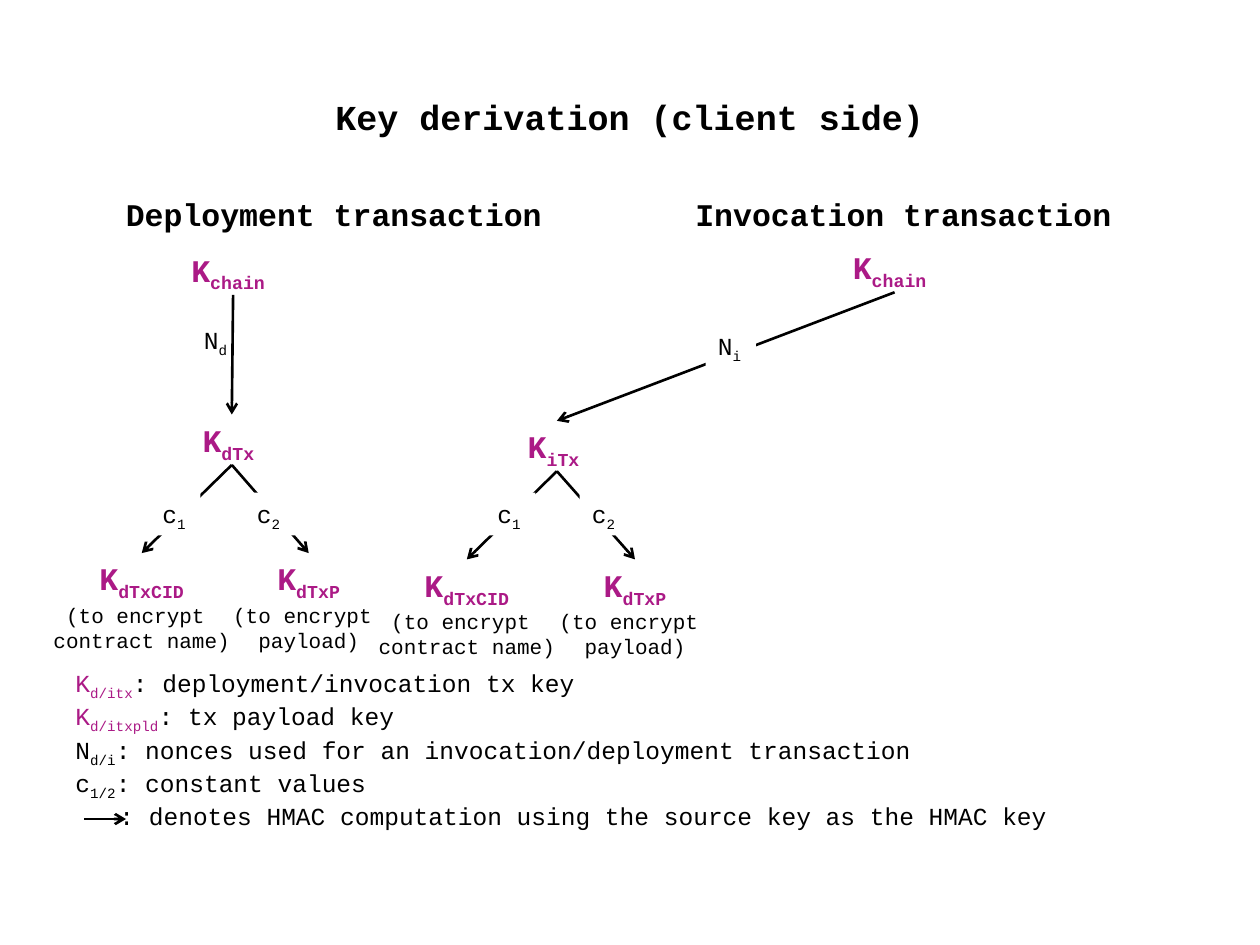
import pptx
import pptx.util
import pptx.dml.color
import pptx.enum.shapes
import pptx.enum.text
import pptx.oxml.ns
from lxml import etree

PX = 9144  # 100 px to the inch
FONT = "Courier New"
BLACK, PURPLE, WHITE = (pptx.dml.color.RGBColor.from_string(c)
                        for c in ("000000", "AB1A86", "FFFFFF"))
THEME = {
    "title": dict(size=20, bold=True, color=BLACK),
    "heading": dict(size=18, bold=True, color=BLACK),
    "key": dict(size=18, bold=True, color=PURPLE),
    "note": dict(size=12, bold=False, color=BLACK),
    "label": dict(size=14, bold=False, color=BLACK),
    "term": dict(size=14, bold=False, color=PURPLE),
}
ALIGN = pptx.enum.text.PP_ALIGN
ANCHOR = pptx.enum.text.MSO_ANCHOR
RECT = pptx.enum.shapes.MSO_SHAPE.RECTANGLE

prs = pptx.Presentation()
prs.slide_width, prs.slide_height = 1000 * PX, 750 * PX
s = prs.slides.add_slide(prs.slide_layouts[6])


def add_text(box, lines, align=ALIGN.LEFT, anchor=ANCHOR.TOP, wrap=False, fill=None):
    """Each line is a list of (style, text, subscript) runs."""
    box = [v * PX for v in box]
    if fill is None:
        sp = s.shapes.add_textbox(*box)
    else:
        sp = s.shapes.add_shape(RECT, *box)
        sp.shadow.inherit = False
        sp.fill.solid()
        sp.fill.fore_color.rgb = fill
        sp.line.fill.background()
    tf = sp.text_frame
    frame = dict(word_wrap=wrap, vertical_anchor=anchor)
    if anchor == ANCHOR.TOP:
        frame["auto_size"] = pptx.enum.text.MSO_AUTO_SIZE.SHAPE_TO_FIT_TEXT
    for name, value in frame.items():
        setattr(tf, name, value)
    for i, runs in enumerate(lines):
        p = tf.add_paragraph() if i else tf.paragraphs[0]
        p.alignment = align
        for style, text, sub in runs:
            look = THEME[style]
            r = p.add_run()
            r.text = text
            for name, value in dict(name=FONT, size=pptx.util.Pt(look["size"]),
                                    bold=look["bold"]).items():
                setattr(r.font, name, value)
            r.font.color.rgb = look["color"]
            if sub:
                r.font._element.set("baseline", "-25000")
    return sp


def add_arrow(x1, y1, x2, y2, source=None, target=None):
    c = s.shapes.add_connector(pptx.enum.shapes.MSO_CONNECTOR.STRAIGHT,
                               x1 * PX, y1 * PX, x2 * PX, y2 * PX)
    if source is not None:
        c.begin_connect(source, 2)
        c.end_connect(target, 0)
    c.line.color.rgb = BLACK
    c.line.width = pptx.util.Pt(1.5)
    etree.SubElement(c.line._get_or_add_ln(), pptx.oxml.ns.qn("a:tailEnd"), type="arrow")
    etree.SubElement(c._element.spPr, pptx.oxml.ns.qn("a:effectLst"))


# Title
add_text((50, 30, 900, 125), [[("title", "Key derivation (client side)", False)]],
         ALIGN.CENTER, ANCHOR.MIDDLE, wrap=True)

# Key trees: heading, chain key, transaction key, nonce, derived keys, constants
trees = [
    dict(heading="Deployment transaction", x=90, chain=(142, 194), tx=(151, 329),
         tx_sub="dTx", nonce=(152, 253), nonce_sub="d", nonce_fill=None,
         leaves=(31, 174), leaf_y=439, constants=(119, 194)),
    dict(heading="Invocation transaction", x=542, chain=(667, 192), tx=(409, 334),
         tx_sub="iTx", nonce=(560, 258), nonce_sub="i", nonce_fill=WHITE,
         leaves=(289, 433), leaf_y=444, constants=(385, 460)),
]
leaf_kinds = [("dTxCID", "contract name)", 163), ("dTxP", "payload)", 142)]
for t in trees:
    add_text((t["x"], 150, 352, 40), [[("heading", t["heading"], False)]])
    chain = add_text((*t["chain"], 86, 40), [[("key", "K", False), ("key", "chain", True)]])
    tx = add_text((*t["tx"], 66, 40), [[("key", "K", False), ("key", t["tx_sub"], True)]])
    add_arrow(0, 0, 0, 0, chain, tx)
    add_text((*t["nonce"], 40, 34),
             [[("label", "N", False), ("label", t["nonce_sub"], True)]], fill=t["nonce_fill"])
    for x, (sub, purpose, width) in zip(t["leaves"], leaf_kinds):
        leaf = add_text((x, t["leaf_y"], width, 81),
                        [[("key", "K", False), ("key", sub, True)],
                         [("note", "(to encrypt ", False)],
                         [("note", purpose, False)]], ALIGN.CENTER)
        add_arrow(0, 0, 0, 0, tx, leaf)
    for number, x in enumerate(t["constants"], 1):
        add_text((x, 391, 40, 34),
                 [[("label", "c", False), ("label", str(number), True)]], fill=WHITE)

# Legend
terms = [
    ("term", "K", "d/itx", ": deployment/invocation tx key"),
    ("term", "K", "d/itxpld", ": tx payload key"),
    ("label", "N", "d/i", ": nonces used for an invocation/deployment transaction"),
    ("label", "c", "1/2", ": constant values"),
]
lines = [[(style, symbol, False), (style, sub, True), ("label", meaning, False)]
         for style, symbol, sub, meaning in terms]
lines.append([("label", ": denotes HMAC computation using the source key as the HMAC key", False)])
legend = add_text((50, 525, 930, 128), lines, wrap=True)
# The last line is indented to leave room for its arrow
legend.text_frame.paragraphs[-1]._p.get_or_add_pPr().set("marL", str(35 * PX))
add_arrow(67, 650, 100, 650)

prs.save("out.pptx")
